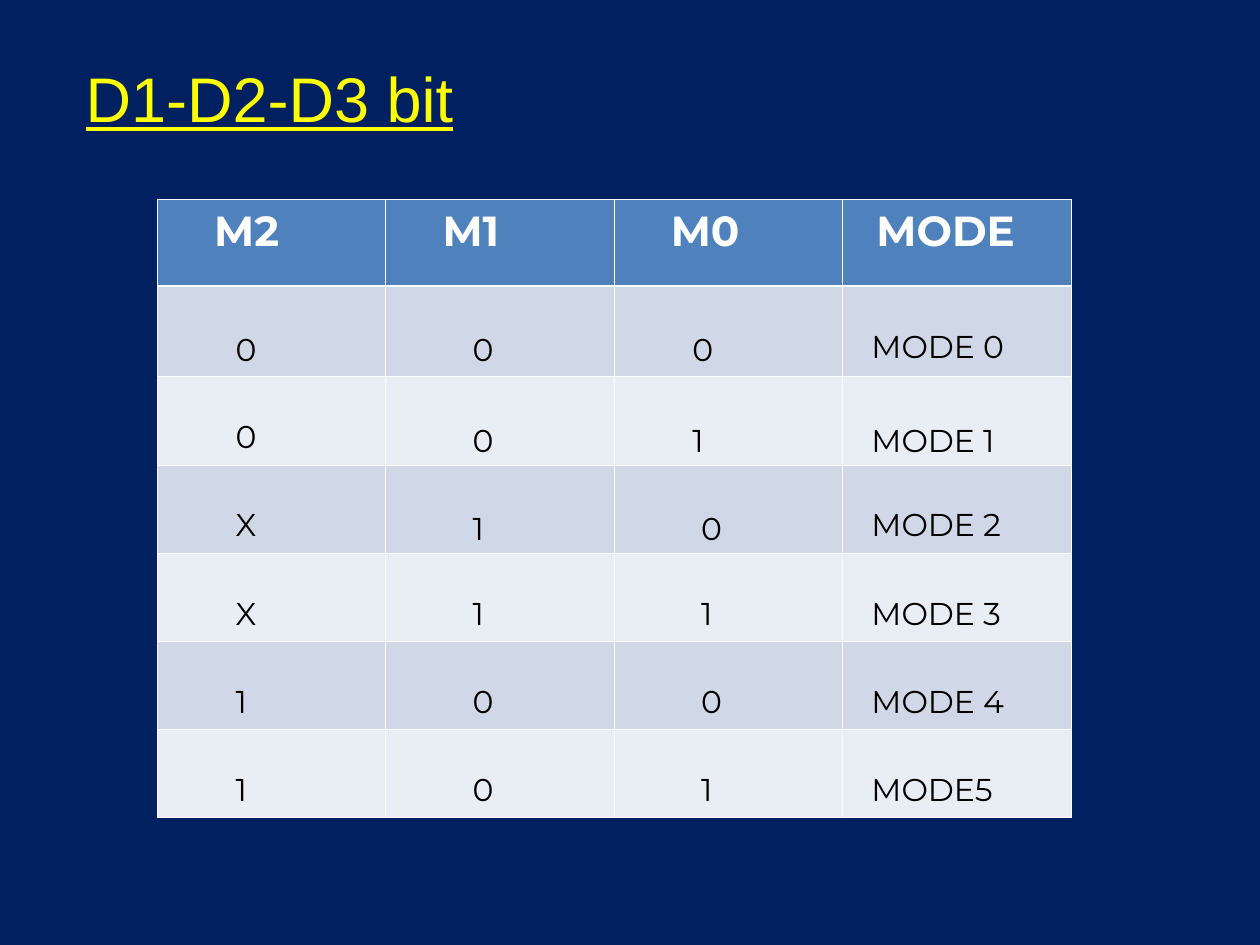
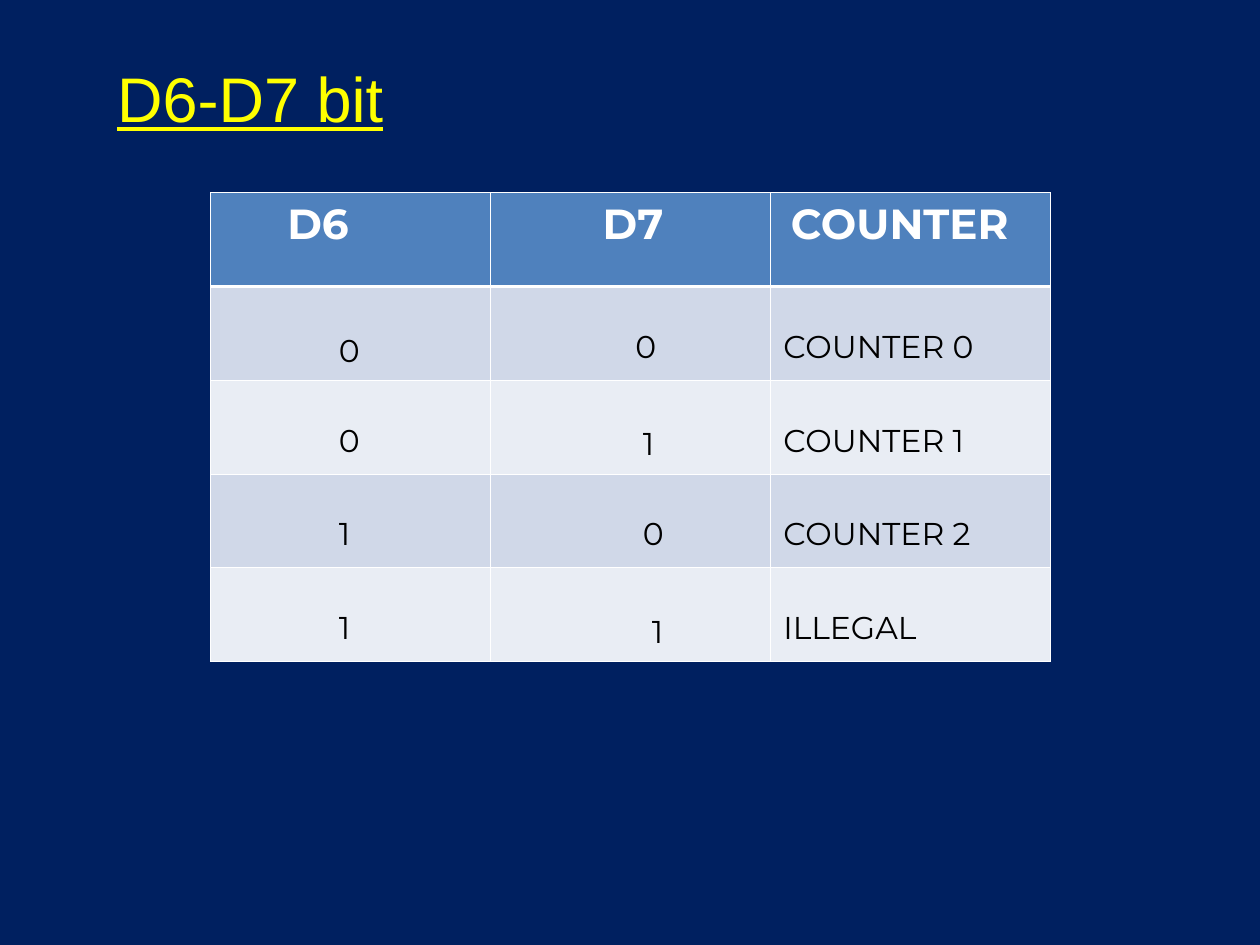
from dataclasses import dataclass

from lxml import etree
from pptx import Presentation
from pptx.dml.color import RGBColor
from pptx.enum.text import MSO_ANCHOR, MSO_AUTO_SIZE, PP_ALIGN
from pptx.oxml.ns import qn
from pptx.util import Inches, Pt

LEFT = PP_ALIGN.LEFT
TOP = MSO_ANCHOR.TOP
GROW = MSO_AUTO_SIZE.SHAPE_TO_FIT_TEXT
TITLE_ONLY = 5


@dataclass(frozen=True)
class Theme:
    back: str = "002060"
    title: str = "FFFF00"
    head: str = "4F81BD"
    bands: tuple = ("D0D8E8", "E9EDF4")
    light: str = "FFFFFF"
    dark: str = "000000"
    title_font: str = "Arial"
    font: str = "Montserrat"
    title_size: float = 36
    head_size: float = 24
    size: float = 18
    thin: float = 0.45
    thick: float = 1.47
    # Space above the text in body cells, in inches
    drop: float = 0.33
    deep: float = 0.36


class Deck:
    def __init__(self, theme):
        self.theme = theme
        self.prs = Presentation()
        self.prs.slide_width = Inches(10)
        self.prs.slide_height = Inches(7.5)
        fill = self.prs.slide_master.background.fill
        fill.solid()
        fill.fore_color.rgb = RGBColor.from_string(theme.back)
        self.slide = None

    def style(self, par, name, size, color, bold=False, line=False):
        par.alignment = LEFT
        font = par.font
        font.name, font.size = name, Pt(size)
        font.bold, font.underline = bold, line
        font.color.rgb = RGBColor.from_string(color)

    def page(self, text, left, width):
        """Start a slide with its underlined title."""
        layout = self.prs.slide_layouts[TITLE_ONLY]
        self.slide = self.prs.slides.add_slide(layout)
        title = self.slide.shapes.title
        title.left, title.top = Inches(left), Inches(0.42)
        title.width, title.height = Inches(width), Inches(0.7)
        frame = title.text_frame
        frame.text = text
        frame.word_wrap = True
        frame.auto_size = GROW
        frame.vertical_anchor = TOP
        t = self.theme
        self.style(frame.paragraphs[0], t.title_font, t.title_size, t.title,
                   line=True)

    def edges(self, cell, row):
        """Draw white borders, thicker between header and body."""
        t = self.theme
        wide = {0: "lnB", 1: "lnT"}.get(row)
        props = cell._tc.get_or_add_tcPr()
        for side in ("lnL", "lnR", "lnT", "lnB"):
            size = t.thick if side == wide else t.thin
            line = etree.SubElement(props, qn("a:" + side), w=str(Pt(size)))
            fill = etree.SubElement(line, qn("a:solidFill"))
            etree.SubElement(fill, qn("a:srgbClr"), val=t.light)

    def cell(self, cell, text, row, left, deep):
        t = self.theme
        head = row == 0
        self.edges(cell, row)
        cell.fill.solid()
        color = t.head if head else t.bands[(row - 1) % 2]
        cell.fill.fore_color.rgb = RGBColor.from_string(color)
        cell.margin_left = Inches(left)
        cell.margin_right = Inches(0.05)
        above = 0.05 if head else t.deep if deep else t.drop
        cell.margin_top = Inches(above)
        cell.margin_bottom = Inches(0.02)
        cell.vertical_anchor = TOP
        cell.text = text
        self.style(cell.text_frame.paragraphs[0], t.font,
                   t.head_size if head else t.size,
                   t.light if head else t.dark, bold=head)

    def table(self, left, top, width, heights, rows, lefts, deep):
        """Add a grid; lefts are text indents, deep lists lower-set cells."""
        count = len(rows[0])
        frame = self.slide.shapes.add_table(
            len(rows), count, Inches(left), Inches(top),
            Inches(width), Inches(sum(heights)))
        grid = frame.table
        grid.horz_banding = False
        for col in grid.columns:
            col.width = Inches(width / count)
        for r, (texts, pads) in enumerate(zip(rows, lefts)):
            grid.rows[r].height = Inches(heights[r])
            for c, (text, pad) in enumerate(zip(texts, pads)):
                self.cell(grid.cell(r, c), text, r, pad, (r, c) in deep)


def modes(deck):
    deck.page("D1-D2-D3 bit", 0.58, 5.08)
    rows = [
        ("M2", "M1", "M0", "MODE"),
        ("0", "0", "0", "MODE 0"),
        ("0", "0", "1", "MODE 1"),
        ("X", "1", "0", "MODE 2"),
        ("X", "1", "1", "MODE 3"),
        ("1", "0", "0", "MODE 4"),
        ("1", "0", "1", "MODE5"),
    ]
    lefts = ([(0.45, 0.45, 0.45, 0.27)]
             + [(0.62, 0.69, 0.62, 0.23)] * 2
             + [(0.62, 0.69, 0.69, 0.23)] * 4)
    deep = {(1, 0), (1, 1), (1, 2), (2, 1), (2, 2), (2, 3), (3, 1), (3, 2)}
    deck.table(1.25, 1.58, 7.25, [0.69, 0.72] + [0.7] * 5, rows, lefts, deep)


def counters(deck):
    deck.page("D6-D7 bit", 0.83, 4.42)
    rows = [
        ("D6", "D7", "COUNTER"),
        ("0", "0", "COUNTER 0"),
        ("0", "1", "COUNTER 1"),
        ("1", "0", "COUNTER 2"),
        ("1", "1", "ILLEGAL"),
    ]
    lefts = [(0.61, 0.89, 0.16)]
    lefts += [(1.02, mid, 0.1) for mid in (1.15, 1.21, 1.21, 1.28)]
    deep = {(1, 0), (2, 1), (4, 1)}
    deck.table(1.67, 1.53, 6.67, [3.72 / 5] * 5, rows, lefts, deep)


def main():
    deck = Deck(Theme())
    modes(deck)
    counters(deck)
    deck.prs.save("out.pptx")


if __name__ == "__main__":
    main()
